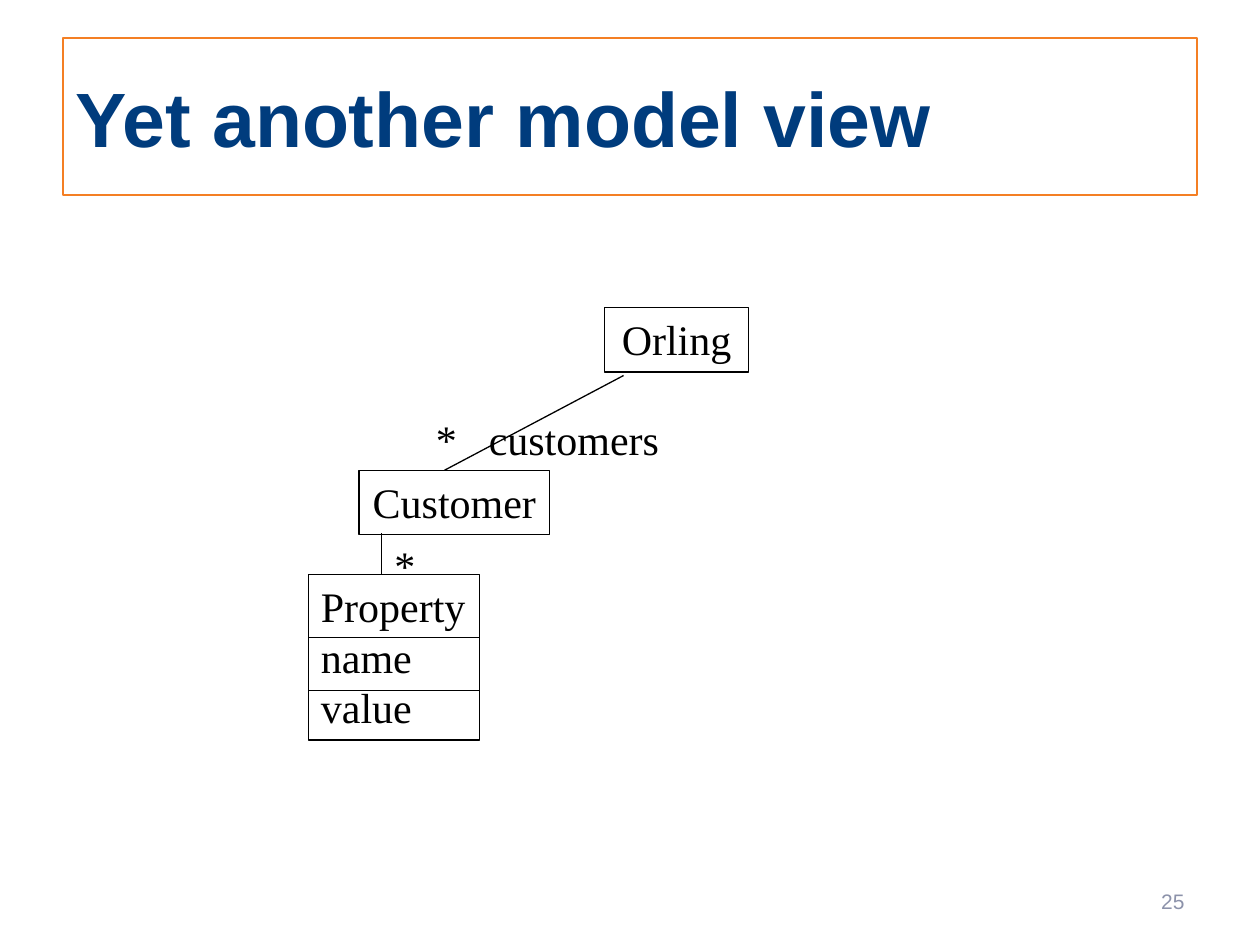
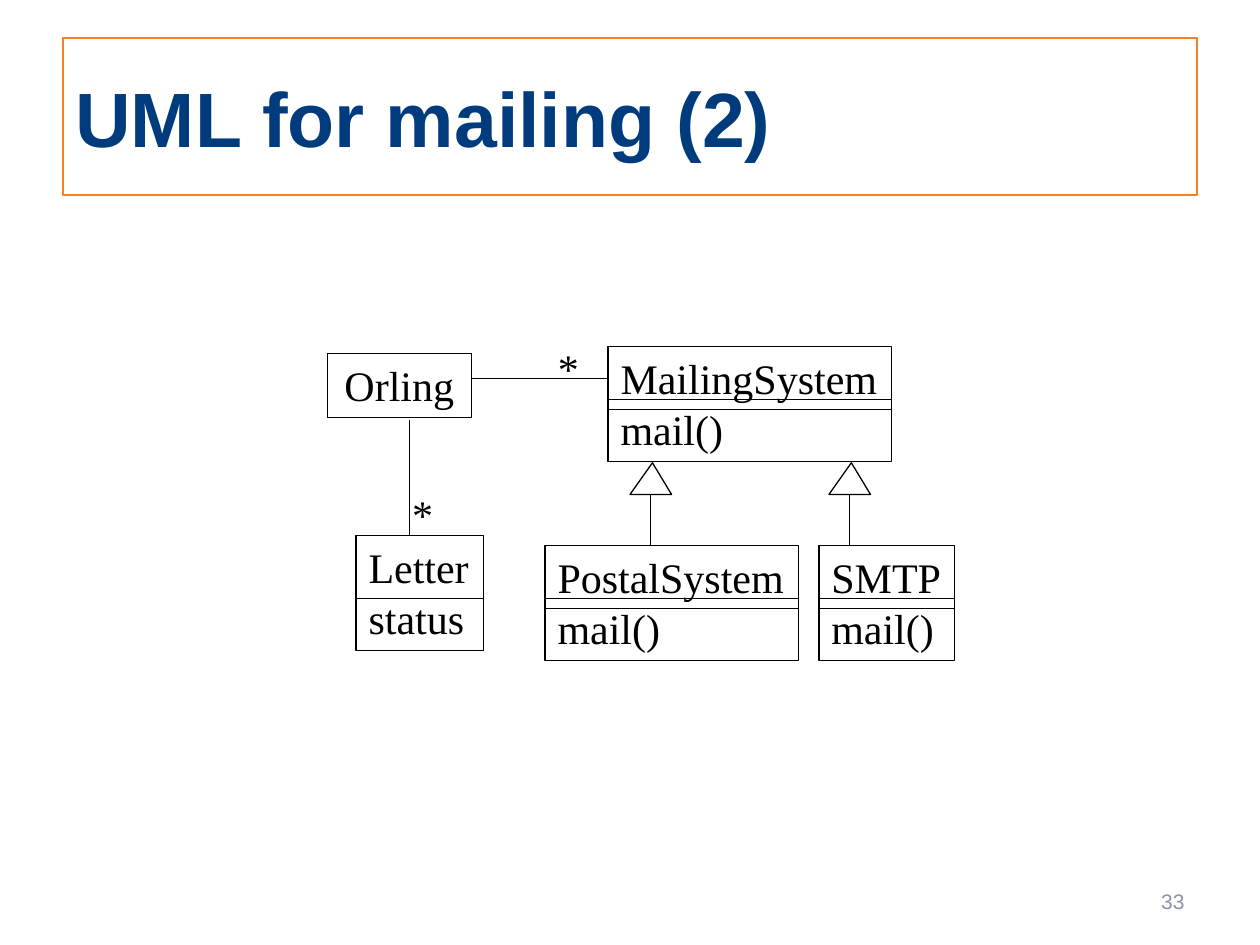
from dataclasses import dataclass

from lxml.etree import SubElement
from pptx import Presentation
from pptx.dml.color import RGBColor
from pptx.enum.shapes import MSO_CONNECTOR as Connector, MSO_SHAPE as Shape
from pptx.enum.text import MSO_ANCHOR as Anchor, PP_ALIGN as Align
from pptx.oxml.ns import qn
from pptx.slide import Slide
from pptx.util import Cm, Pt

COLORS = {"title": "003C7D", "frame": "F47F24", "number": "8C92AA", "ink": "000000"}
TITLE_BOX = (1.27, 0.76, 22.86, 3.18)
NUMBER_BOX = (18.21, 17.65, 5.92, 1.02)
COMPANY = "Orling"
LABEL_HEIGHT = 1.27
ROW_HEIGHT, BOX_PADDING = 1.02, 0.28
NAME_RULE, METHOD_RULES = (1.27,), (1.07, 1.27)
ARROW_WIDTH, ARROW_HEIGHT, ARROW_TIP = 0.84, 0.64, 0.54


def color(name):
    """Return the named colour of the palette."""
    return RGBColor.from_string(COLORS[name])


def write(shape, lines, font_name, size, ink, align=Align.LEFT, anchor=Anchor.TOP,
          bold=False, wrap=True):
    """Fill a shape with one paragraph per line."""
    frame = shape.text_frame
    frame.word_wrap = wrap
    frame.vertical_anchor = anchor
    for index, line in enumerate(lines):
        paragraph = frame.add_paragraph() if index else frame.paragraphs[0]
        paragraph.alignment = align
        run = paragraph.add_run()
        run.text = line
        run.font.name, run.font.size, run.font.bold = font_name, Pt(size), bold
        run.font.color.rgb = color(ink)


def add_outline(slide, preset, box, ink, weight):
    """Add an unfilled preset shape with a plain outline."""
    outline = slide.shapes.add_shape(preset, *map(Cm, box))
    outline.shadow.inherit = False
    outline.fill.background()
    outline.line.color.rgb = color(ink)
    outline.line.width = Pt(weight)
    return outline


def add_titled_slide(deck, title, number):
    """Add a slide with the framed title and the page number."""
    slide = deck.slides.add_slide(deck.slide_layouts[6])
    frame = add_outline(slide, Shape.RECTANGLE, TITLE_BOX, "frame", 1)
    write(frame, [title], "Arial", 44, "title", anchor=Anchor.MIDDLE, bold=True)
    page = slide.shapes.add_textbox(*map(Cm, NUMBER_BOX))
    write(page, [number], "Arial", 12, "number", Align.RIGHT, Anchor.MIDDLE)
    return slide


@dataclass
class ClassDiagram:
    """A UML class diagram whose parts are placed from its top left corner."""

    slide: Slide
    left: float
    top: float

    def link(self, x1, y1, x2, y2):
        """Draw a thin straight line between two points."""
        ends = (self.left + x1, self.top + y1, self.left + x2, self.top + y2)
        line = self.slide.shapes.add_connector(Connector.STRAIGHT, *map(Cm, ends))
        line.line.color.rgb = color("ink")
        line.line.width = Pt(0.75)
        SubElement(line._element.spPr, qn("a:effectLst"))

    def class_box(self, x, y, width, rows, rules=()):
        """Draw a class with its name, members and dividing rules."""
        box = (self.left + x, self.top + y, width, ROW_HEIGHT * len(rows) + BOX_PADDING)
        outline = add_outline(self.slide, Shape.RECTANGLE, box, "ink", 0.75)
        align = Align.LEFT if rules else Align.CENTER
        write(outline, rows, "Times New Roman", 24, "ink", align, wrap=False)
        for rule in rules:
            self.link(x, y + rule, x + width, y + rule)

    def label(self, x, y, text="*", width=0.94):
        """Write a role name or multiplicity beside a link."""
        box = (self.left + x, self.top + y, width, LABEL_HEIGHT)
        note = self.slide.shapes.add_textbox(*map(Cm, box))
        write(note, [text], "Times New Roman", 24, "ink", Align.CENTER, wrap=False)

    def inheritance(self, x, y, end_y):
        """Draw a hollow triangle with a stem down to the subclass."""
        box = (self.left + x, self.top + y, ARROW_WIDTH, ARROW_HEIGHT)
        head = add_outline(self.slide, Shape.ISOSCELES_TRIANGLE, box, "ink", 0.75)
        head.adjustments[0] = ARROW_TIP
        stem_x = x + ARROW_WIDTH / 2
        self.link(stem_x, y + ARROW_HEIGHT, stem_x, end_y)


def draw_customer_model(diagram):
    """Draw the customers and their properties."""
    diagram.class_box(5.97, 0, 2.9, [COMPANY])
    diagram.class_box(1.02, 3.28, 3.84, ["Customer"])
    diagram.class_box(0, 5.38, 3.45, ["Property", "name", "value"], (1.27, 2.34))
    diagram.link(6.35, 1.37, 2.74, 3.28)
    diagram.link(1.47, 4.55, 1.47, 5.38)
    diagram.label(3.38, 2.01, "customers", 3.94)
    diagram.label(2.31, 2.01)
    diagram.label(1.47, 4.55)


def draw_mailing_model(diagram):
    """Draw the letters and the mailing systems."""
    subclass_y = 4.01
    diagram.class_box(0, 0.13, 2.9, [COMPANY])
    diagram.class_box(0.58, 3.81, 2.57, ["Letter", "status"], NAME_RULE)
    diagram.class_box(5.66, 0, 5.72, ["MailingSystem", "mail()"], METHOD_RULES)
    for name, x, width, arrow_x in (("PostalSystem", 4.39, 5.11, 6.1),
                                    ("SMTP", 9.91, 2.74, 10.11)):
        diagram.class_box(x, subclass_y, width, [name, "mail()"], METHOD_RULES)
        diagram.inheritance(arrow_x, 2.34, subclass_y)
    diagram.link(1.65, 1.47, 1.65, 3.81)
    diagram.link(2.92, 0.64, 5.66, 0.64)
    diagram.label(4.39, -0.2)
    diagram.label(1.45, 2.74)


def main():
    """Build and save the two slides."""
    deck = Presentation()
    deck.slide_width, deck.slide_height = Cm(25.4), Cm(19.05)
    customers = add_titled_slide(deck, "Yet another model view", "25")
    draw_customer_model(ClassDiagram(customers, 6.22, 6.2))
    mailing = add_titled_slide(deck, "UML for mailing (2)", "33")
    draw_mailing_model(ClassDiagram(mailing, 6.6, 6.99))
    deck.save("out.pptx")


if __name__ == "__main__":
    main()
